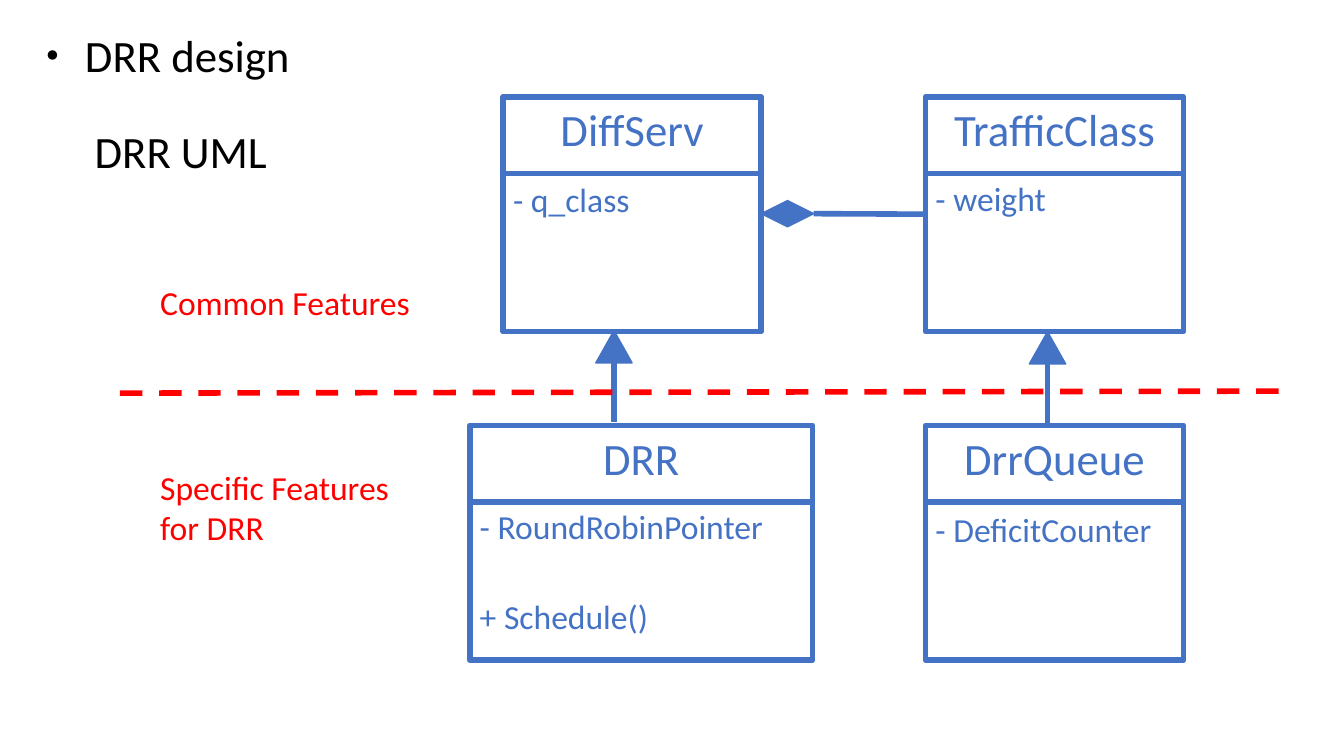
from dataclasses import dataclass

from lxml import etree
from pptx import Presentation
from pptx.dml.color import RGBColor
from pptx.enum import dml, shapes, text
from pptx.oxml import ns
from pptx.util import Inches, Pt

COLORS = {"ink": "000000", "uml": "4472C4", "note": "FF0000"}
FONT = "Calibri"
BOX_HEIGHT = 2.33
HEAD_HEIGHT = 0.76
BIG, SMALL = 32, 24
TRUNK = 4  # line width in points


@dataclass
class Label:
    words: str
    left: float
    top: float
    width: float
    size: int
    color: str
    centred: bool = False


@dataclass
class Member:
    words: str
    top: float


@dataclass
class UmlClass:
    name: str
    left: float
    top: float
    width: float
    members: list[Member]


@dataclass
class Arrow:
    middle: float
    top: float
    end: float


LABELS = [
    Label("・ DRR design", 0.2, 0.23, 6.55, BIG, "ink"),
    Label("DRR UML", 0.84, 1.18, 6.19, BIG, "ink"),
    Label("Common Features", 1.49, 2.75, 2.95, SMALL, "note"),
    Label("Specific Features\nfor DRR", 1.49, 4.58, 2.95, SMALL, "note"),
]
CLASSES = [
    UmlClass("DiffServ", 4.99, 0.96, 2.56, [Member("- q_class", 1.73)]),
    UmlClass("TrafficClass", 9.18, 0.96, 2.56, [Member("- weight", 1.72)]),
    UmlClass("DRR", 4.66, 4.22, 3.4,
             [Member("- RoundRobinPointer", 4.97), Member("+ Schedule()", 5.86)]),
    UmlClass("DrrQueue", 9.18, 4.22, 2.56, [Member("- DeficitCounter", 5)]),
]
ARROWS = [Arrow(6.09, 3.28, 4.19), Arrow(10.39, 3.29, 4.2)]


def rgb(key: str) -> RGBColor:
    return RGBColor.from_string(COLORS[key])


def add_label(parent, label: Label) -> None:
    lines = label.words.split("\n")
    height = len(lines) * label.size / 60 + 0.1
    box = parent.add_textbox(Inches(label.left), Inches(label.top),
                             Inches(label.width), Inches(height))
    frame = box.text_frame
    frame.word_wrap = True
    frame.auto_size = text.MSO_AUTO_SIZE.SHAPE_TO_FIT_TEXT
    frame.text = label.words
    for line in frame.paragraphs:
        if label.centred:
            line.alignment = text.PP_ALIGN.CENTER
        for run in line.runs:
            run.font.name = FONT
            run.font.size = Pt(label.size)
            run.font.color.rgb = rgb(label.color)


def add_line(parent, x1: float, y1: float, x2: float, y2: float, color: str = "uml"):
    line = parent.add_connector(shapes.MSO_CONNECTOR.STRAIGHT, Inches(x1), Inches(y1),
                                Inches(x2), Inches(y2))
    line.line.color.rgb = rgb(color)
    line.line.width = Pt(TRUNK)
    etree.SubElement(line._element.spPr, ns.qn("a:effectLst"))
    return line


def add_form(parent, kind, left: float, top: float, width: float, height: float,
             weight: float, filled: bool):
    form = parent.add_shape(kind, Inches(left), Inches(top), Inches(width), Inches(height))
    form.shadow.inherit = False
    if filled:
        form.fill.solid()
        form.fill.fore_color.rgb = rgb("uml")
    else:
        form.fill.background()
    form.line.color.rgb = rgb("uml")
    form.line.width = Pt(weight)
    return form


def add_class(parent, uml: UmlClass):
    """Draw a class box with its members and return the outline."""
    group = parent.add_group_shape().shapes
    outline = add_form(group, shapes.MSO_SHAPE.RECTANGLE, uml.left, uml.top,
                       uml.width, BOX_HEIGHT, TRUNK, False)
    split = uml.top + HEAD_HEIGHT
    add_line(group, uml.left, split, uml.left + uml.width, split)
    add_label(group, Label(uml.name, uml.left, uml.top, uml.width, BIG, "uml", True))
    for member in uml.members:
        add_label(parent, Label(member.words, uml.left, member.top, uml.width, SMALL, "uml"))
    return outline


def add_arrow(parent, arrow: Arrow) -> None:
    """Draw an inheritance arrow that points up."""
    width, height = 0.36, 0.32
    add_form(parent, shapes.MSO_SHAPE.ISOSCELES_TRIANGLE, arrow.middle - width / 2,
             arrow.top, width, height, 1, True)
    add_line(parent, arrow.middle, arrow.top + height, arrow.middle, arrow.end)


def main() -> None:
    deck = Presentation()
    deck.slide_width, deck.slide_height = Inches(13.33), Inches(7.5)
    canvas = deck.slides.add_slide(deck.slide_layouts[6]).shapes

    boxes = {uml.name: add_class(canvas, uml) for uml in CLASSES}
    diamond = add_form(canvas, shapes.MSO_SHAPE.DIAMOND, 7.55, 1.99, 0.52, 0.26, 1, True)
    link = add_line(canvas, 8.07, 2.12, 9.18, 2.12)
    link.begin_connect(diamond, 3)
    link.end_connect(boxes["TrafficClass"], 1)
    for arrow in ARROWS:
        add_arrow(canvas, arrow)

    border = add_line(canvas, 1.19, 3.9, 12.78, 3.88, "note")
    border.line.dash_style = dml.MSO_LINE.DASH
    for label in LABELS:
        add_label(canvas, label)
    deck.save("out.pptx")


if __name__ == "__main__":
    main()
